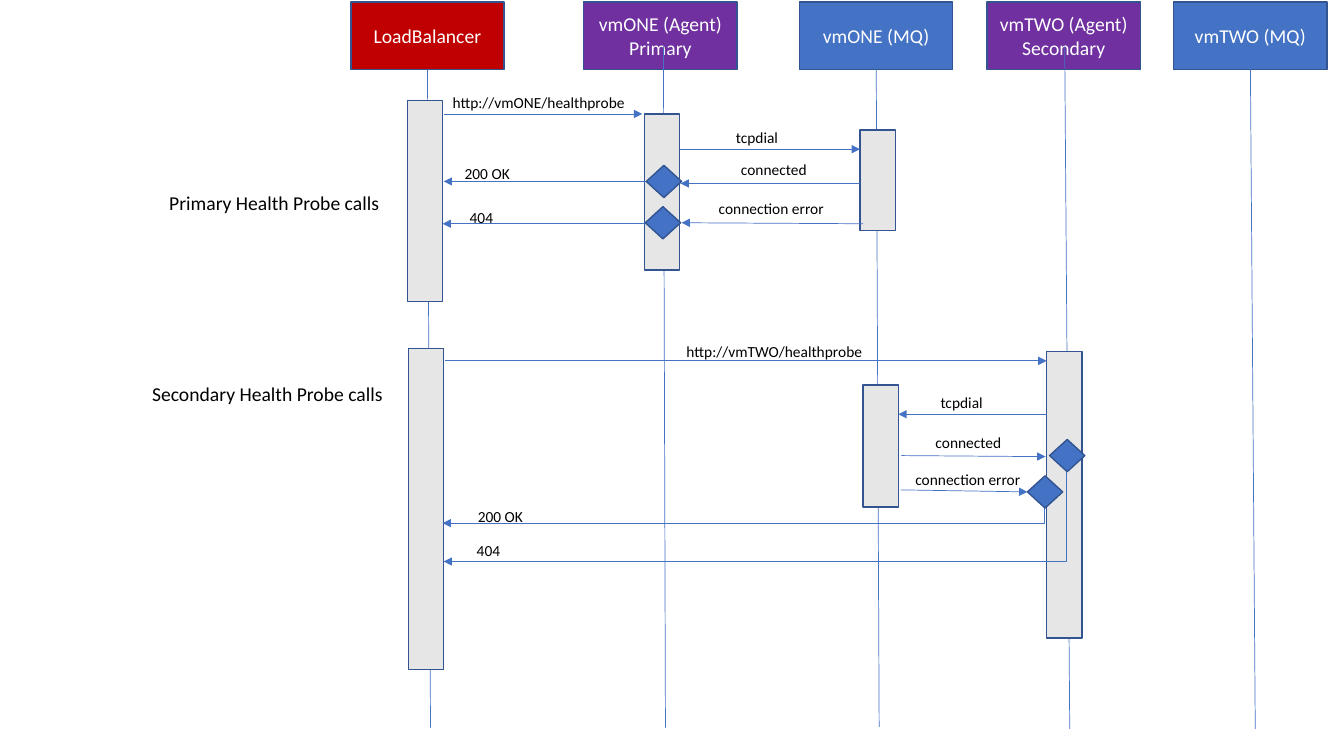
from dataclasses import dataclass

from lxml import etree
from pptx import Presentation, util as u
from pptx.dml import color
from pptx.enum import shapes, text
from pptx.oxml import ns


@dataclass(frozen=True)
class Theme:
    font: str = "Calibri"
    red: str = "C00000"
    purple: str = "7030A0"
    blue: str = "4472C4"
    gray: str = "E7E6E6"
    outline: str = "325491"
    white: str = "FFFFFF"
    black: str = "000000"
    heading: float = 14
    label: float = 11
    border: float = 1
    stroke: float = 0.5


def apply(target, values):
    for name, value in values.items():
        setattr(target, name, value)


class SequencePage:
    def __init__(self, page, theme):
        self.page = page
        self.theme = theme

    def fill_text(self, frame, lines, size, ink, align):
        for index, line in enumerate(lines):
            para = frame.add_paragraph() if index else frame.paragraphs[0]
            para.alignment = align
            span = para.add_run()
            span.text = line
            apply(span.font, {"name": self.theme.font, "size": u.Pt(size)})
            span.font.color.rgb = color.RGBColor.from_string(ink)

    def block(self, kind, left, top, width, height, fill):
        box = self.page.shapes.add_shape(kind, *map(u.Inches, (left, top, width, height)))
        box.shadow.inherit = False
        box.fill.solid()
        box.fill.fore_color.rgb = color.RGBColor.from_string(fill)
        box.line.color.rgb = color.RGBColor.from_string(self.theme.outline)
        box.line.width = u.Pt(self.theme.border)
        return box

    def participant(self, left, fill, lines):
        box = self.block(shapes.MSO_SHAPE.RECTANGLE, left, 0.02, 1.52, 0.67, fill)
        apply(box.text_frame, {"word_wrap": True, "vertical_anchor": text.MSO_ANCHOR.MIDDLE})
        self.fill_text(box.text_frame, lines, self.theme.heading, self.theme.white, text.PP_ALIGN.CENTER)

    def activation(self, left, top, height):
        self.block(shapes.MSO_SHAPE.RECTANGLE, left, top, 0.35, height, self.theme.gray)

    def decision(self, left, top):
        self.block(shapes.MSO_SHAPE.DIAMOND, left, top, 0.35, 0.32, self.theme.blue)

    def label(self, left, top, width, height, size, words):
        box = self.page.shapes.add_textbox(*map(u.Inches, (left, top, width, height)))
        apply(box.text_frame, {"word_wrap": True, "auto_size": text.MSO_AUTO_SIZE.SHAPE_TO_FIT_TEXT})
        self.fill_text(box.text_frame, [words], size, self.theme.black, text.PP_ALIGN.LEFT)

    def line(self, start, end, arrow=False, kind=shapes.MSO_CONNECTOR.STRAIGHT):
        connector = self.page.shapes.add_connector(kind, *map(u.Inches, (*start, *end)))
        connector.line.color.rgb = color.RGBColor.from_string(self.theme.blue)
        connector.line.width = u.Pt(self.theme.stroke)
        properties = connector.element.spPr
        if arrow:
            stroke = properties.find(ns.qn("a:ln"))
            etree.SubElement(stroke, ns.qn("a:tailEnd"), type="triangle")
        etree.SubElement(properties, ns.qn("a:effectLst"))
        return connector

    def corner_arrow(self, start, end):
        across, down = start[0] - end[0], end[1] - start[1]
        middle_x, middle_y = (start[0] + end[0]) / 2, (start[1] + end[1]) / 2
        connector = self.line(
            (middle_x - down / 2, middle_y - across / 2),
            (middle_x + down / 2, middle_y + across / 2),
            True,
            shapes.MSO_CONNECTOR.ELBOW,
        )
        properties = connector.element.spPr
        properties.find(ns.qn("a:xfrm")).set("rot", "5400000")
        properties.find(ns.qn("a:prstGeom")).set("prst", "bentConnector2")


def main():
    deck = Presentation()
    apply(deck, {"slide_width": u.Inches(13.33), "slide_height": u.Inches(7.5)})
    theme = Theme()
    sequence = SequencePage(deck.slides.add_slide(deck.slide_layouts[6]), theme)

    participants = [
        (3.48, theme.red, ["LoadBalancer"]),
        (5.79, theme.purple, ["vmONE (Agent)", "Primary"]),
        (7.93, theme.blue, ["vmONE (MQ)"]),
        (9.79, theme.purple, ["vmTWO (Agent)", "Secondary"]),
        (11.64, theme.blue, ["vmTWO (MQ)"]),
    ]
    for participant in participants:
        sequence.participant(*participant)

    lifelines = [
        ((4.24, 0.69), (4.27, 7.22)),
        ((6.58, 0.46), (6.6, 7.22)),
        ((8.69, 0.46), (8.72, 7.21)),
        ((10.56, 0.46), (10.61, 7.23)),
        ((12.4, 0.46), (12.45, 7.23)),
    ]
    for lifeline in lifelines:
        sequence.line(*lifeline)

    activations = [
        (4.04, 1, 1.99), (6.39, 1.13, 1.55), (8.53, 1.29, 1),
        (4.05, 3.46, 3.18), (10.38, 3.49, 2.84), (8.56, 3.82, 1.21),
    ]
    for activation in activations:
        sequence.activation(*activation)

    messages = [
        ((4.4, 1.13), (6.37, 1.13)),
        ((6.74, 1.48), (8.53, 1.48)),
        ((8.53, 1.82), (6.75, 1.82)),
        ((6.41, 1.8), (4.4, 1.8)),
        ((8.56, 2.22), (6.76, 2.21)),
        ((6.4, 2.22), (4.39, 2.22)),
        ((4.41, 3.58), (10.38, 3.58)),
        ((10.38, 4.11), (8.91, 4.11)),
        ((8.94, 4.52), (10.37, 4.53)),
        ((8.93, 4.86), (10.19, 4.88)),
    ]
    for start, end in messages:
        sequence.line(start, end, arrow=True)
    sequence.corner_arrow((10.58, 4.68), (4.4, 5.57))
    sequence.corner_arrow((10.36, 5.04), (4.39, 5.19))

    for decision in [(6.41, 1.64), (6.4, 2.05), (10.41, 4.36), (10.19, 4.72)]:
        sequence.decision(*decision)

    labels = [
        (4.39, 0.87, 2.13, "http://vmONE/healthprobe"),
        (7.2, 1.22, 0.91, "tcpdial"),
        (7.25, 1.54, 0.91, "connected"),
        (7.03, 1.93, 1.49, "connection error"),
        (4.51, 1.58, 0.91, "200 OK"),
        (4.56, 2.02, 0.91, "404"),
        (6.71, 3.34, 2.13, "http://vmTWO/healthprobe"),
        (9.23, 3.85, 0.91, "tcpdial"),
        (9.18, 4.25, 0.91, "connected"),
        (8.98, 4.61, 1.49, "connection error"),
        (4.64, 4.98, 0.91, "200 OK"),
        (4.63, 5.32, 0.91, "404"),
    ]
    for left, top, width, words in labels:
        sequence.label(left, top, width, 0.29, theme.label, words)
    sequence.label(1.58, 1.84, 2.47, 0.34, theme.heading, "Primary Health Probe calls")
    sequence.label(1.41, 3.74, 2.89, 0.34, theme.heading, "Secondary Health Probe calls")

    deck.save("out.pptx")


if __name__ == "__main__":
    main()
